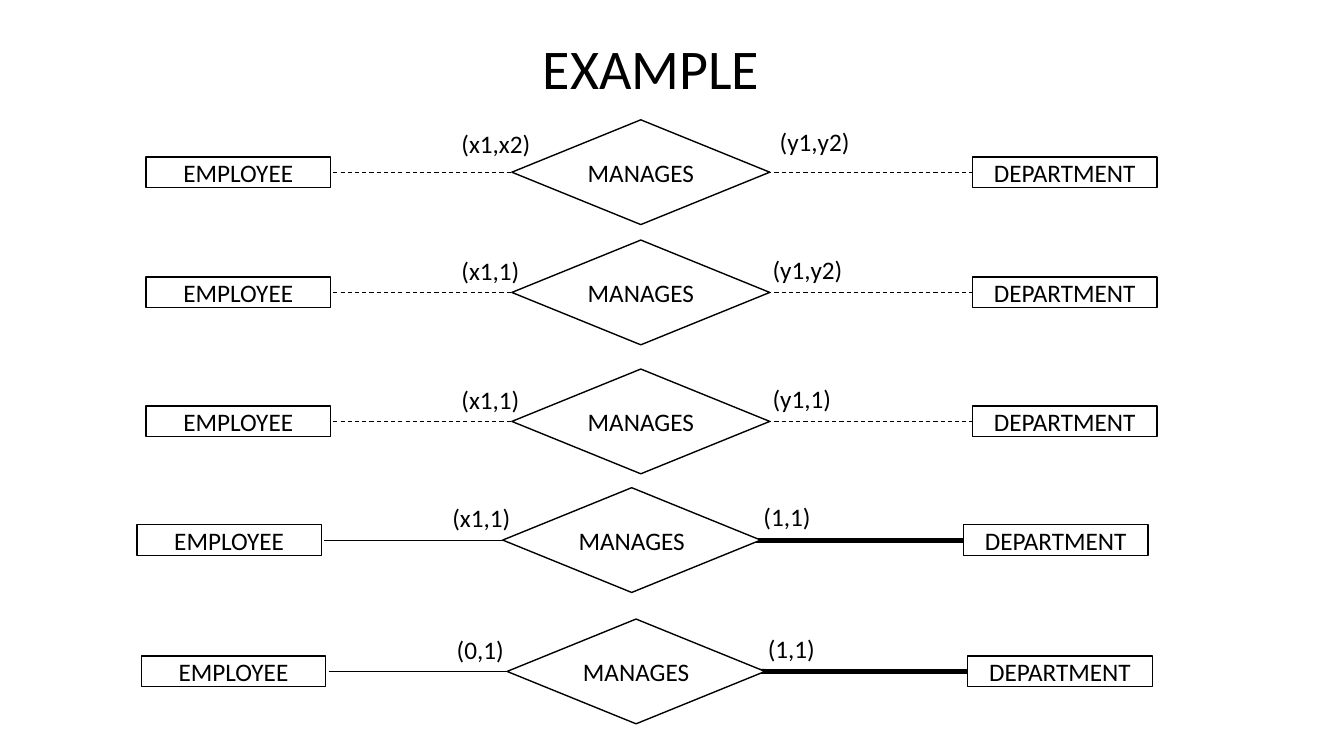
import pptx
import pptx.util
import pptx.dml.color
import pptx.enum.dml
import pptx.enum.shapes
import pptx.enum.text
import pptx.oxml.ns
import lxml.etree

Cm, Pt = pptx.util.Cm, pptx.util.Pt
SHAPE = pptx.enum.shapes.MSO_SHAPE
ALIGN = pptx.enum.text.PP_ALIGN
MIDDLE = pptx.enum.text.MSO_ANCHOR.MIDDLE
FIT = pptx.enum.text.MSO_AUTO_SIZE
DASH = pptx.enum.dml.MSO_LINE.DASH

# Content: diamond corner (cm), labels, and the line style of each row
TITLE = "EXAMPLE"
ENTITY_LEFT, RELATION, ENTITY_RIGHT = "EMPLOYEE", "MANAGES", "DEPARTMENT"
ROWS = [
    (12.9, 3.02, "(x1,x2)", "(y1,y2)", "partial"),
    (12.9, 6.05, "(x1,1)", "(y1,y2)", "partial"),
    (12.9, 9.3, "(x1,1)", "(y1,1)", "partial"),
    (12.67, 12.29, "(x1,1)", "(1,1)", "total"),
    (12.78, 15.6, "(0,1)", "(1,1)", "total"),
]
# Width of the left line, width of the right line, dash
LINES = {"partial": (0.75, 0.75, DASH), "total": (0.5, 3.5, None)}

# Geometry in cm, offsets measured from the diamond corner
DIAMOND = (6.5, 2.64)
ENTITY = (4.65, 0.77)
EMPLOYEE_X, DEPARTMENT_X = -9.22, 11.61
ENTITY_Y = (DIAMOND[1] - ENTITY[1]) / 2
MIDLINE = DIAMOND[1] / 2
LEFT_LINE = (-4.5, 0.18)
RIGHT_LINE_START = 4.98
LABEL = (2.77, 1.02)
LEFT_LABEL, RIGHT_LABEL = (-1.52, 0.25), (6.32, 0.23)
FIRST_LEFT_LABEL, FIRST_RIGHT_LABEL = (-1.52, 0.1), (6.5, 0.03)

BLACK, WHITE = "000000", "FFFFFF"


def color(value):
    return pptx.dml.color.RGBColor.from_string(value)


def write(frame, text, size=18, align=ALIGN.LEFT, **frame_format):
    for name, value in frame_format.items():
        setattr(frame, name, value)
    para = frame.paragraphs[0]
    para.alignment = align
    span = para.add_run()
    for name, value in {"text": text}.items():
        setattr(span, name, value)
    for name, value in {"size": Pt(size), "name": "Calibri"}.items():
        setattr(span.font, name, value)
    span.font.color.rgb = color(BLACK)
    return para


def add_node(page, kind, left, top, size, text):
    node = page.shapes.add_shape(kind, Cm(left), Cm(top), Cm(size[0]), Cm(size[1]))
    node.shadow.inherit = False
    node.fill.solid()
    node.fill.fore_color.rgb = color(WHITE)
    node.line.color.rgb = color(BLACK)
    node.line.width = Pt(1)
    write(node.text_frame, text, align=ALIGN.CENTER, vertical_anchor=MIDDLE,
          word_wrap=False, margin_left=0, margin_right=0, margin_top=0, margin_bottom=0)
    return node


def add_line(page, start, end, y, width, dash):
    line = page.shapes.add_connector(
        pptx.enum.shapes.MSO_CONNECTOR.STRAIGHT, Cm(start), Cm(y), Cm(end), Cm(y))
    line.line.color.rgb = color(BLACK)
    line.line.width = Pt(width)
    if dash:
        line.line.dash_style = dash
    properties = line._element.find(pptx.oxml.ns.qn("p:spPr"))
    lxml.etree.SubElement(properties, pptx.oxml.ns.qn("a:effectLst"))
    return line


def add_label(page, left, top, text):
    box = page.shapes.add_textbox(Cm(left), Cm(top), Cm(LABEL[0]), Cm(LABEL[1]))
    write(box.text_frame, text, word_wrap=True, auto_size=FIT.SHAPE_TO_FIT_TEXT)


def add_row(page, x, y, left_text, right_text, style, left_label, right_label):
    left_width, right_width, dash = LINES[style]
    add_node(page, SHAPE.RECTANGLE, x + EMPLOYEE_X, y + ENTITY_Y, ENTITY, ENTITY_LEFT)
    department = add_node(page, SHAPE.RECTANGLE, x + DEPARTMENT_X, y + ENTITY_Y,
                          ENTITY, ENTITY_RIGHT)
    add_line(page, x + LEFT_LINE[0], x + LEFT_LINE[1], y + MIDLINE, left_width, dash)
    right_line = add_line(page, x + RIGHT_LINE_START, x + DEPARTMENT_X, y + MIDLINE,
                          right_width, dash)
    right_line.end_connect(department, 1)
    # The diamond covers the inner ends of both lines
    add_node(page, SHAPE.DIAMOND, x, y, DIAMOND, RELATION)
    add_label(page, x + left_label[0], y + left_label[1], left_text)
    add_label(page, x + right_label[0], y + right_label[1], right_text)


def main():
    deck = pptx.Presentation()
    deck.slide_width, deck.slide_height = Cm(33.87), Cm(19.05)
    page = deck.slides.add_slide(deck.slide_layouts[5])

    # Title
    title = page.shapes.title
    place = {"left": 1.8, "top": -0.05, "width": 29.21, "height": 3.68}
    for name, value in place.items():
        setattr(title, name, Cm(value))
    para = write(title.text_frame, TITLE, 40, ALIGN.CENTER,
                 vertical_anchor=MIDDLE, auto_size=FIT.NONE)
    para.line_spacing = 0.9

    # Relationship rows; the labels of the first row sit a little higher
    for index, row in enumerate(ROWS):
        labels = (LEFT_LABEL, RIGHT_LABEL) if index else (FIRST_LEFT_LABEL, FIRST_RIGHT_LABEL)
        add_row(page, *row, *labels)

    deck.save("out.pptx")


if __name__ == "__main__":
    main()
